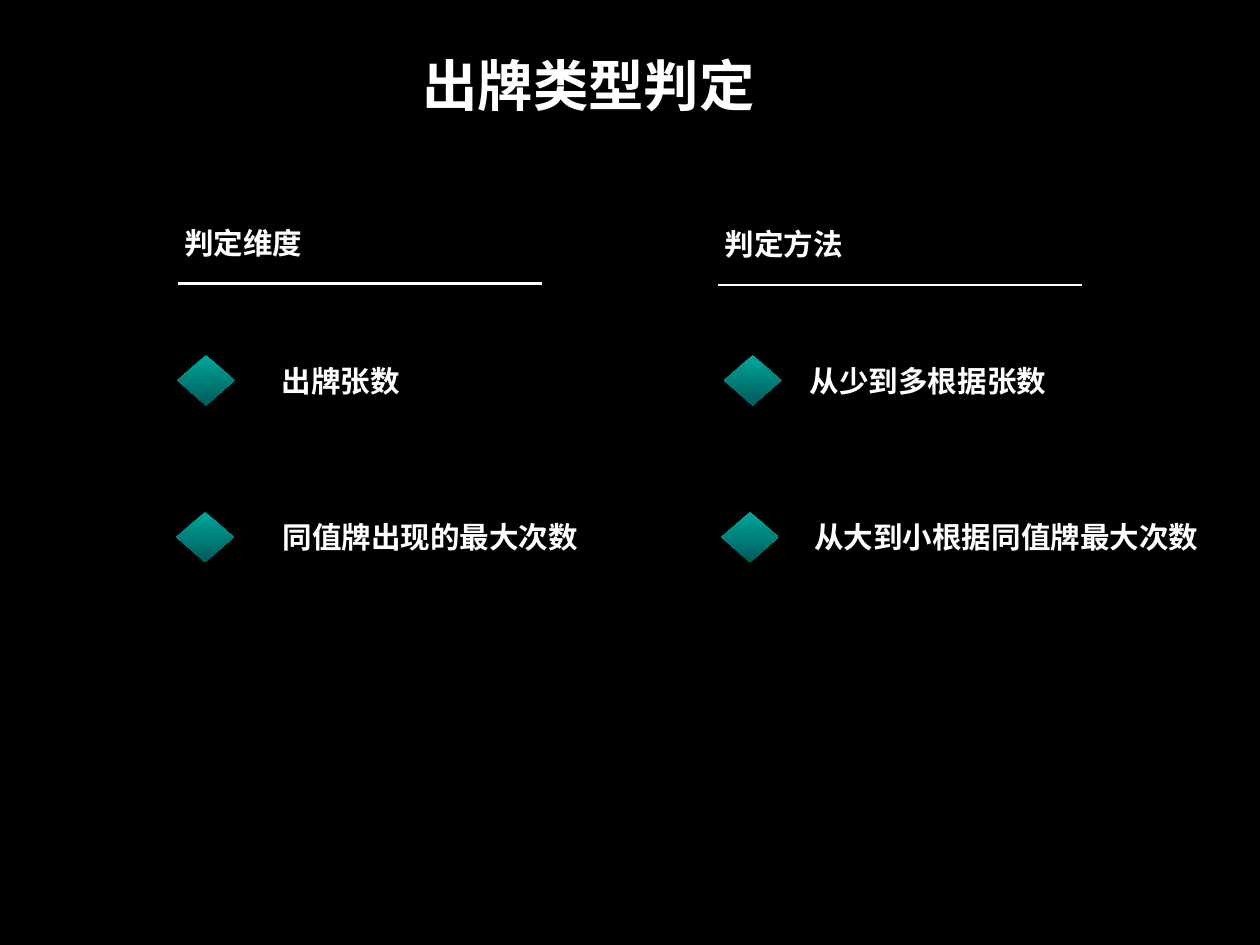
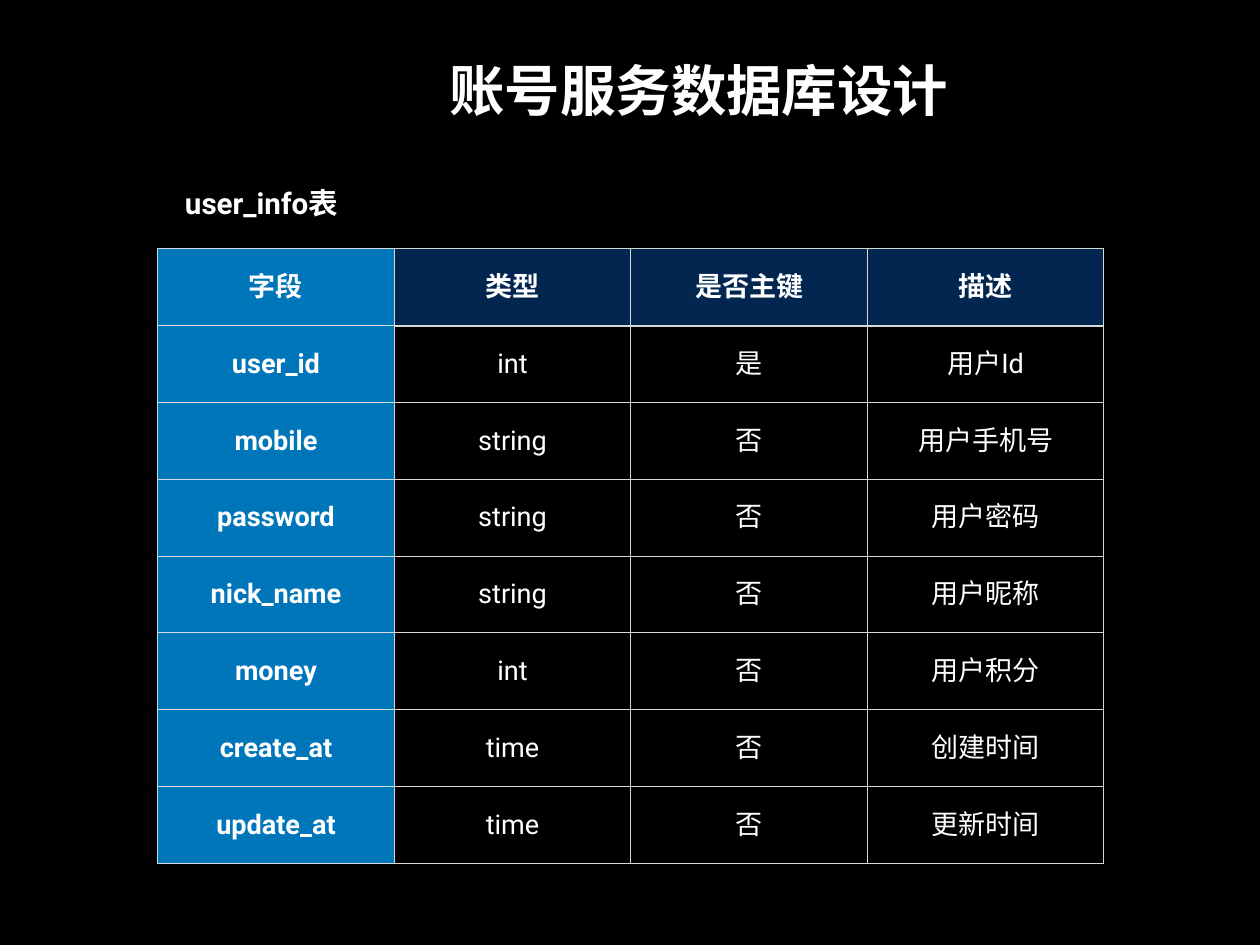
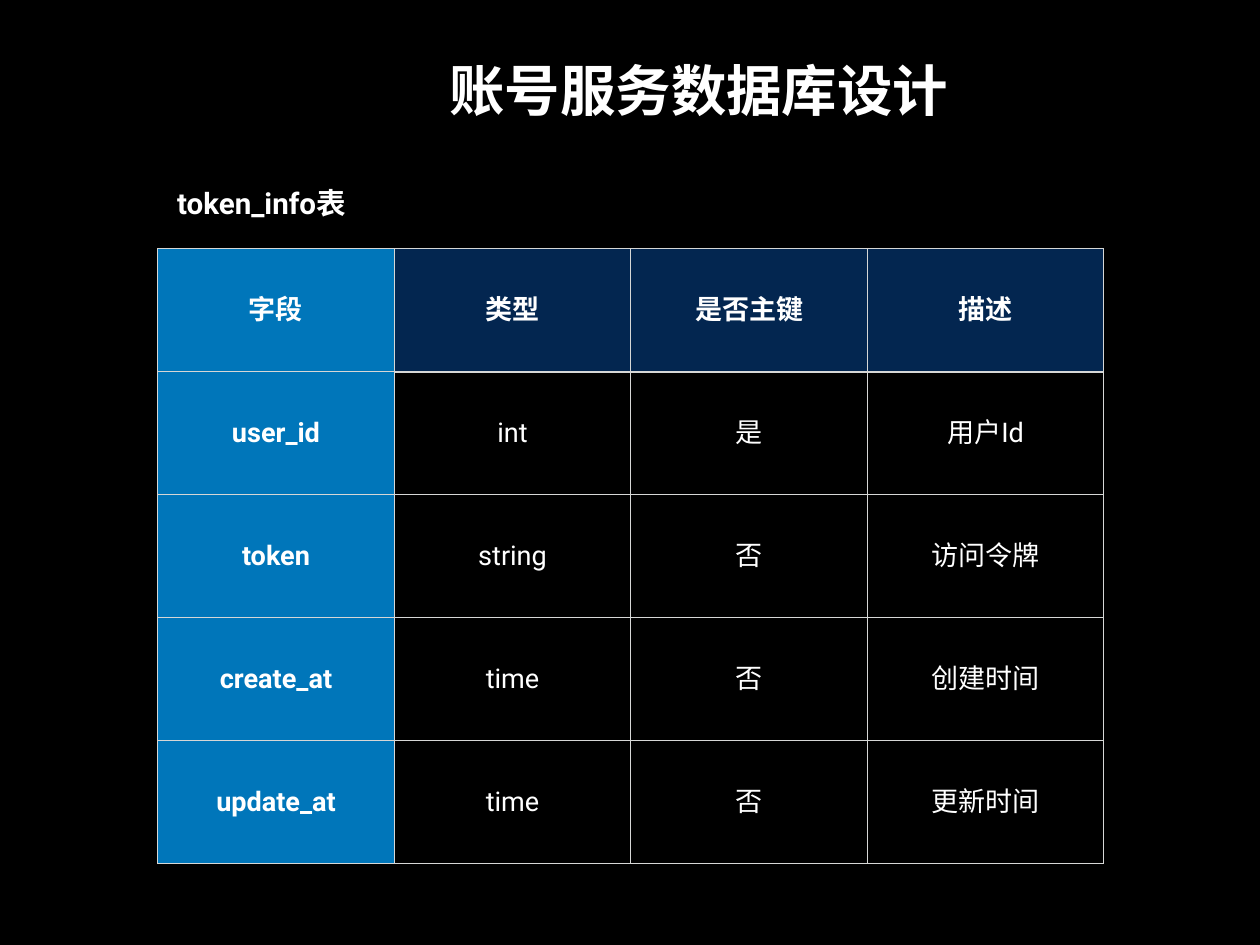
import pptx
import pptx.dml.color
import pptx.enum.shapes
import pptx.enum.text
import pptx.oxml
import pptx.oxml.ns
import pptx.util
from lxml import etree
from pptx.util import Inches

COLORS = {
    "background": "000000",
    "text": "FFFFFF",
    "header": "032650",
    "key_column": "0076BA",
    "border": "D6D7D6",
    "diamond_top": "00A89D",
    "diamond_bottom": "005A59",
}
FIELD_HEADER = ("字段", "类型", "是否主键", "描述")
TIME_FIELDS = (
    ("create_at", "time", "否", "创建时间"),
    ("update_at", "time", "否", "更新时间"),
)
USER_ID_FIELD = ("user_id", "int", "是", "用户Id")
USER_INFO = (
    FIELD_HEADER,
    USER_ID_FIELD,
    ("mobile", "string", "否", "用户手机号"),
    ("password", "string", "否", "用户密码"),
    ("nick_name", "string", "否", "用户昵称"),
    ("money", "int", "否", "用户积分"),
    *TIME_FIELDS,
)
TOKEN_INFO = (
    FIELD_HEADER,
    USER_ID_FIELD,
    ("token", "string", "否", "访问令牌"),
    *TIME_FIELDS,
)
JUDGEMENT_COLUMNS = (
    ("判定维度", 2.02, 2.46, 2.01, 3.2,
     (("出牌张数", 2.0, 3.12), ("同值牌出现的最大次数", 1.99, 3.13))),
    ("判定方法", 8.12, 2.47, 8.1, 3.22,
     (("从少到多根据张数", 8.17, 9.08), ("从大到小根据同值牌最大次数", 8.14, 9.13))),
)


def rgb(name):
    return pptx.dml.color.RGBColor.from_string(COLORS[name])


class SlideBuilder:
    """Holds the deck style and draws elements on the current slide."""

    font = "Roboto"
    title_size = 45
    label_size = 24
    cell_size = 22
    inset = 0.06
    label_height = 0.57

    def __init__(self):
        self.deck = pptx.Presentation()
        self.deck.slide_width = Inches(14.22)
        self.deck.slide_height = Inches(10.67)
        fill = self.deck.slide_master.background.fill
        fill.solid()
        fill.fore_color.rgb = rgb("background")
        self.page = None

    def set_text(self, frame, text, size, bold=True):
        frame.text = text
        para = frame.paragraphs[0]
        para.alignment = pptx.enum.text.PP_ALIGN.CENTER
        for span in para.runs:
            span.font.name = self.font
            span.font.size = pptx.util.Pt(size)
            span.font.bold = bold
            span.font.color.rgb = rgb("text")
            latin = span.font._element.find(pptx.oxml.ns.qn("a:latin"))
            east_asian = etree.Element(pptx.oxml.ns.qn("a:ea"), typeface=self.font)
            latin.addnext(east_asian)

    def set_margins(self, holder):
        holder.margin_left = holder.margin_right = Inches(self.inset)
        holder.margin_top = holder.margin_bottom = Inches(self.inset)
        holder.vertical_anchor = pptx.enum.text.MSO_ANCHOR.MIDDLE

    def fill_box(self, box, text, size):
        frame = box.text_frame
        self.set_text(frame, text, size)
        self.set_margins(frame)
        frame.word_wrap = False
        frame.auto_size = pptx.enum.text.MSO_AUTO_SIZE.NONE

    def title_slide(self, text, left, top, width):
        self.page = self.deck.slides.add_slide(self.deck.slide_layouts[5])
        title = self.page.shapes.title
        title.left, title.top = Inches(left), Inches(top)
        title.width, title.height = Inches(width), Inches(0.99)
        self.fill_box(title, text, self.title_size)

    def label(self, text, left, top, width=None):
        if width is None:
            width = len(text) * self.label_size / 72 + 2 * self.inset
        box = self.page.shapes.add_textbox(
            Inches(left), Inches(top), Inches(width), Inches(self.label_height))
        self.fill_box(box, text, self.label_size)

    def diamond(self, left, top):
        shape = self.page.shapes.add_shape(
            pptx.enum.shapes.MSO_SHAPE.DIAMOND,
            Inches(left), Inches(top), Inches(0.65), Inches(self.label_height))
        shape.shadow.inherit = False
        shape.line.fill.background()
        shape.fill.gradient()
        shape.fill.gradient_angle = 270
        names = ("diamond_top", "diamond_bottom")
        for position, (stop, name) in enumerate(zip(shape.fill.gradient_stops, names)):
            stop.position = position
            stop.color.rgb = rgb(name)

    def rule(self, left, top, width):
        line = self.page.shapes.add_connector(
            pptx.enum.shapes.MSO_CONNECTOR.STRAIGHT,
            Inches(left), Inches(top), Inches(left + width), Inches(top))
        line.line.color.rgb = rgb("text")
        line.line.width = pptx.util.Pt(2)
        etree.SubElement(line._element.spPr, pptx.oxml.ns.qn("a:effectLst"))

    def borders(self, cell, widths):
        properties = cell._tc.get_or_add_tcPr()
        for index, (side, points) in enumerate(widths.items()):
            edge = etree.Element(
                pptx.oxml.ns.qn(f"a:ln{side}"), w=str(int(pptx.util.Pt(points))))
            fill = etree.SubElement(edge, pptx.oxml.ns.qn("a:solidFill"))
            etree.SubElement(fill, pptx.oxml.ns.qn("a:srgbClr"), val=COLORS["border"])
            properties.insert(index, edge)

    def field_table(self, rows):
        left, top, column_width, height = 1.78, 2.81, 2.67, 6.94
        count = len(rows[0])
        table = self.page.shapes.add_table(
            len(rows), count, Inches(left), Inches(top),
            Inches(column_width * count), Inches(height)).table
        table.first_row = table.horz_banding = False
        for column in table.columns:
            column.width = Inches(column_width)
        for row_index, values in enumerate(rows):
            table.rows[row_index].height = Inches(height / len(rows))
            for column_index, value in enumerate(values):
                cell = table.cell(row_index, column_index)
                is_key, is_header = column_index == 0, row_index == 0
                self.set_text(cell.text_frame, value, self.cell_size, is_key or is_header)
                self.set_margins(cell)
                if is_key or is_header:
                    cell.fill.solid()
                    cell.fill.fore_color.rgb = rgb("key_column" if is_key else "header")
                else:
                    cell.fill.background()
                self.borders(cell, {
                    "L": 1,
                    "R": 1,
                    "T": 2 if row_index == 1 and not is_key else 1,
                    "B": 2 if is_header and not is_key else 1,
                })


def main():
    builder = SlideBuilder()

    builder.title_slide("出牌类型判定", 4.7, 0.46, 3.88)
    for heading, left, top, rule_left, rule_top, items in JUDGEMENT_COLUMNS:
        builder.label(heading, left, top)
        builder.rule(rule_left, rule_top, 4.11)
        for index, (text, diamond_left, text_left) in enumerate(items):
            item_top = 4.01 + index * 1.77
            builder.diamond(diamond_left, item_top)
            builder.label(text, text_left, item_top)

    for caption, left, width, rows in (
        ("user_info表", 1.99, 1.92, USER_INFO),
        ("token_info表", 1.89, 2.12, TOKEN_INFO),
    ):
        builder.title_slide("账号服务数据库设计", 5.01, 0.51, 5.75)
        builder.field_table(rows)
        builder.label(caption, left, 2, width)

    builder.deck.save("out.pptx")


if __name__ == "__main__":
    main()
